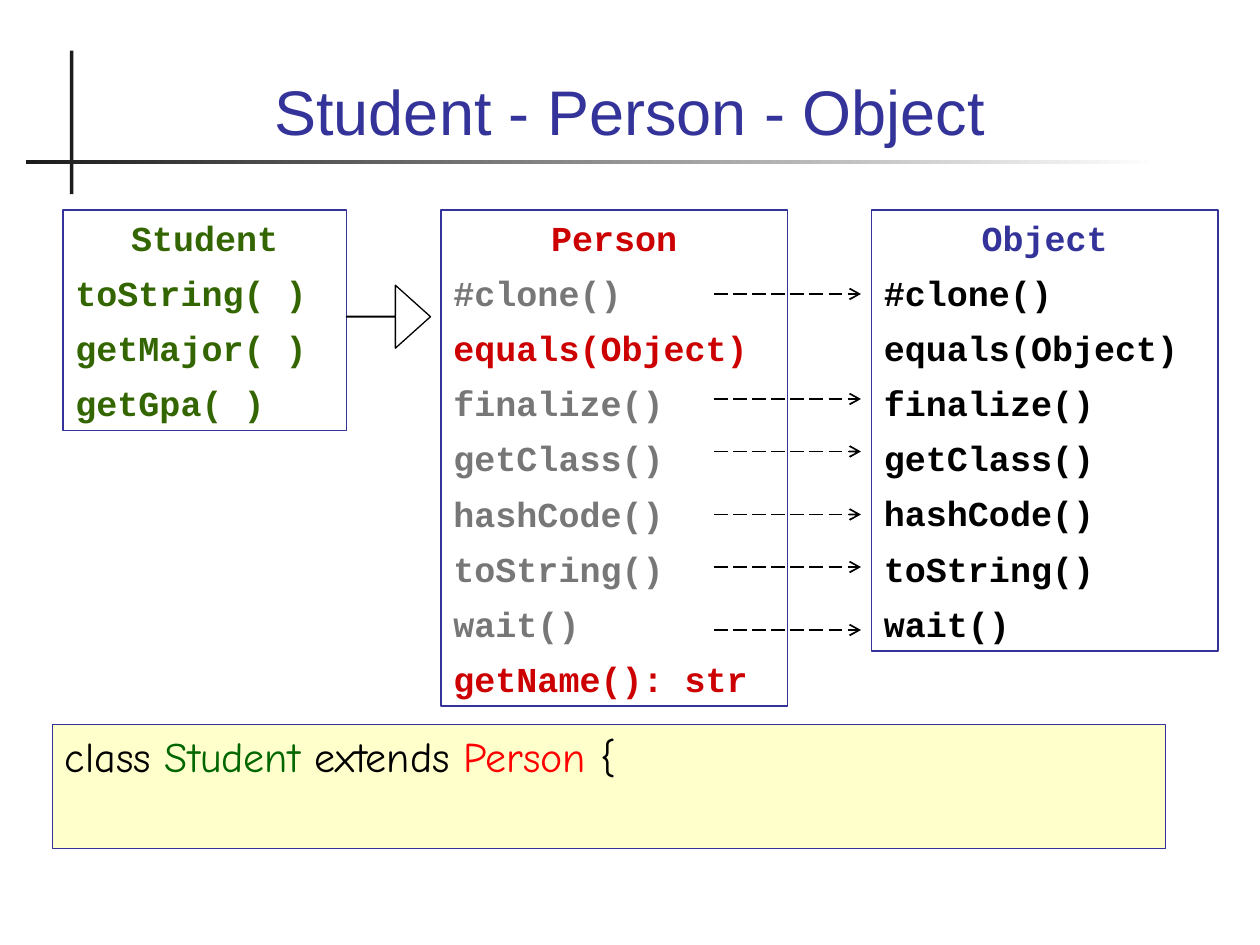
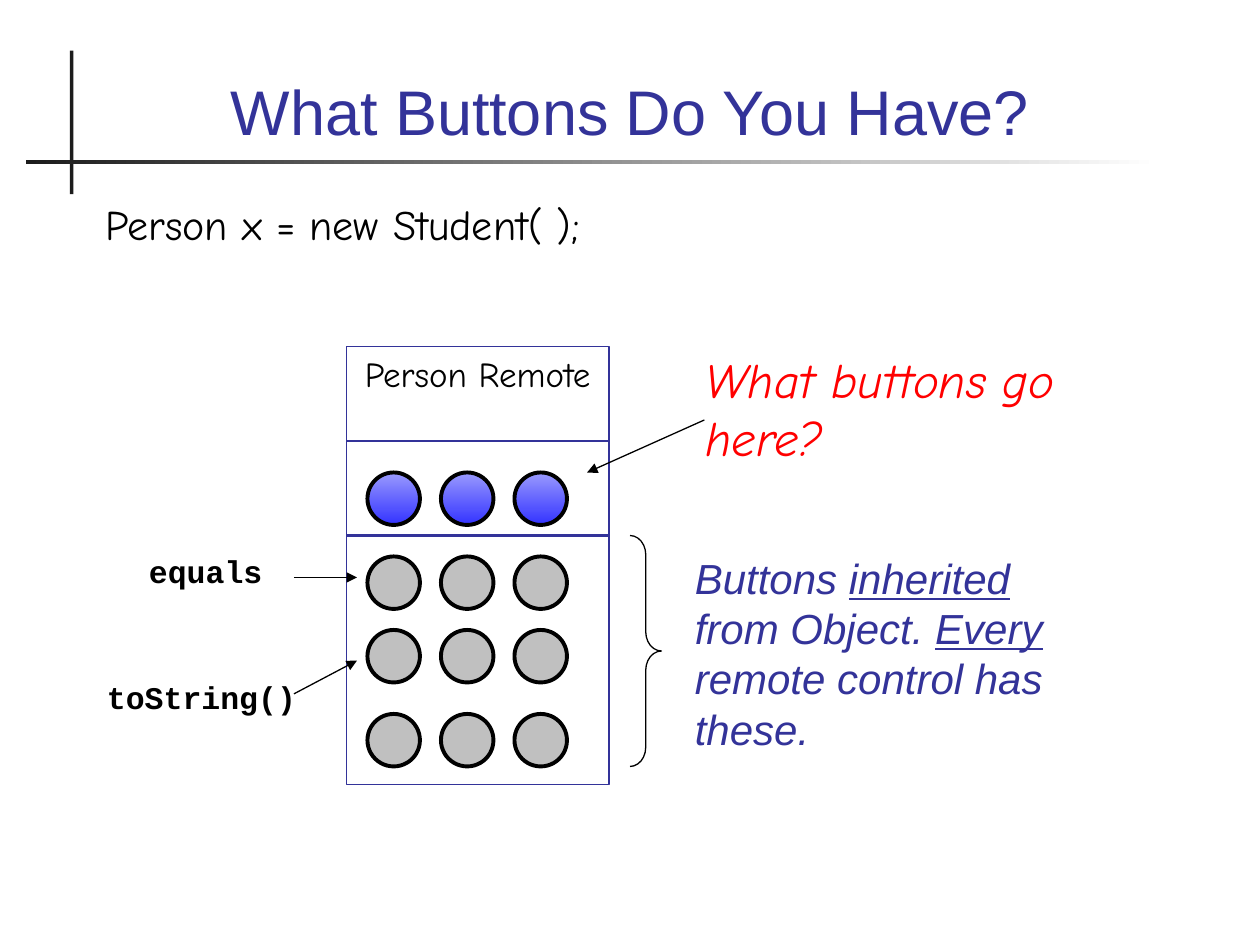
from dataclasses import dataclass

from lxml.etree import SubElement
from pptx import Presentation
from pptx.dml.color import RGBColor
from pptx.enum.dml import MSO_LINE
from pptx.enum.shapes import MSO_CONNECTOR, MSO_SHAPE
from pptx.enum.text import MSO_ANCHOR, MSO_AUTO_SIZE, PP_ALIGN
from pptx.oxml.ns import qn
from pptx.util import Pt


@dataclass(frozen=True)
class Theme:
    navy: str = "333399"
    black: str = "000000"
    white: str = "FFFFFF"
    rule: str = "1C1C1C"
    inherited: str = "777777"
    person: str = "CC0000"
    student: str = "336600"
    student_code: str = "006600"
    red: str = "FF0000"
    code_fill: str = "FFFFCC"
    button_gray: str = "C0C0C0"
    button_light: str = "9999FE"
    button_dark: str = "3333FF"
    sans: str = "Arial"
    comic: str = "Comic Neue"
    mono: str = "Courier New"
    title_size: int = 36
    question_size: int = 28
    body_size: int = 24
    class_size: int = 20
    label_size: int = 18


theme = Theme()


def add_block(slide, area, paragraphs, font, size, fill=None, outline=None,
              bold=False, italic=False, line_height=None, space_before=0):
    area = [Pt(length) for length in area]
    if outline:
        shape = slide.shapes.add_shape(MSO_SHAPE.RECTANGLE, *area)
        shape.shadow.inherit = False
        shape.line.color.rgb = RGBColor.from_string(theme.navy)
        shape.line.width = Pt(outline)
        shape.fill.background()
    else:
        shape = slide.shapes.add_textbox(*area)
    if fill:
        shape.fill.solid()
        shape.fill.fore_color.rgb = RGBColor.from_string(fill)
    frame = shape.text_frame
    frame.word_wrap = True
    frame.auto_size = MSO_AUTO_SIZE.NONE
    frame.vertical_anchor = MSO_ANCHOR.TOP
    for index, (alignment, runs) in enumerate(paragraphs):
        paragraph = frame.add_paragraph() if index else frame.paragraphs[0]
        paragraph.alignment = alignment
        paragraph.space_before = Pt(space_before if index else 0)
        if line_height:
            paragraph.line_spacing = Pt(line_height)
        for text, color, underline in runs:
            run = paragraph.add_run()
            run.text = text
            run.font.name = font
            run.font.size = Pt(size)
            run.font.bold = bold
            run.font.italic = italic
            run.font.underline = underline
            run.font.color.rgb = RGBColor.from_string(color)


def add_line(slide, start, end, color=theme.black, width=0.75, head=None, dash=None):
    points = [Pt(length) for length in (*start, *end)]
    connector = slide.shapes.add_connector(MSO_CONNECTOR.STRAIGHT, *points)
    connector.line.color.rgb = RGBColor.from_string(color)
    connector.line.width = Pt(width)
    if dash:
        connector.line.dash_style = dash
    properties = connector.element.spPr
    if head:
        SubElement(properties.find(qn("a:ln")), qn("a:tailEnd"), type=head)
    SubElement(properties, qn("a:effectLst"))


presentation = Presentation()
presentation.slide_width = Pt(720)
presentation.slide_height = Pt(540)
title_layout = presentation.slide_layouts[5]

slides = []
for title_text in ("Student - Person - Object", "What Buttons Do You Have?"):
    slide = presentation.slides.add_slide(title_layout)
    title = slide.shapes.title
    title.left, title.top, title.width, title.height = Pt(48), Pt(20), Pt(624), Pt(68.5)
    title.text_frame.auto_size = MSO_AUTO_SIZE.NONE
    title.text_frame.vertical_anchor = MSO_ANCHOR.BOTTOM
    paragraph = title.text_frame.paragraphs[0]
    paragraph.alignment = PP_ALIGN.CENTER
    run = paragraph.add_run()
    run.text = title_text
    run.font.name = theme.sans
    run.font.size = Pt(theme.title_size)
    run.font.color.rgb = RGBColor.from_string(theme.navy)
    slides.append(slide)
class_slide, remote_slide = slides

for area, fades in (((40, 29, 2, 82), False), ((15, 91.5, 647, 2), True)):
    band = class_slide.shapes.add_shape(
        MSO_SHAPE.RECTANGLE, *[Pt(length) for length in area])
    band.shadow.inherit = False
    band.line.fill.background()
    if fades:
        band.fill.gradient()
        band.fill.gradient_angle = 180
        for stop, color in zip(band.fill.gradient_stops, (theme.white, theme.rule)):
            stop.color.rgb = RGBColor.from_string(color)
    else:
        band.fill.solid()
        band.fill.fore_color.rgb = RGBColor.from_string(theme.rule)
    title_layout.shapes.element.append(band.element)

object_methods = ["#clone()", "equals(Object)", "finalize()", "getClass()",
                  "hashCode()", "toString()", "wait()"]
person_methods = [
    (method, theme.person if method == "equals(Object)" else theme.inherited)
    for method in object_methods
] + [("getName(): str", theme.person)]
student_methods = ["toString( )", "getMajor( )", "getGpa( )"]
classes = [
    (498, 198, "Object", theme.navy, [(method, theme.black) for method in object_methods]),
    (252, 198, "Person", theme.person, person_methods),
    (36, 162, "Student", theme.student,
     [(method, theme.student) for method in student_methods]),
]
line_height, method_gap = 24, 7.5
for left, width, name, name_color, methods in classes:
    paragraphs = [(PP_ALIGN.CENTER, [(name, name_color, False)])]
    for method, color in methods:
        paragraphs.append((PP_ALIGN.LEFT, [(method, color, False)]))
    height = len(paragraphs) * (line_height + method_gap)
    add_block(class_slide, (left, 120, width, height), paragraphs, theme.mono,
              theme.class_size, fill=theme.white, outline=1, bold=True,
              line_height=line_height, space_before=method_gap)

declaration = [("class ", theme.black, False), ("Student", theme.student_code, False),
               (" extends ", theme.black, False), ("Person", theme.red, False),
               (" {", theme.black, False)]
add_block(class_slide, (30, 414, 636, 71), [(PP_ALIGN.LEFT, declaration)],
          theme.comic, theme.body_size, fill=theme.code_fill, outline=0.75)

for y in (168, 228, 258, 294, 324, 360):
    add_line(class_slide, (408, y), (492, y), width=1, head="arrow",
             dash=MSO_LINE.LONG_DASH)

extends_arrow = class_slide.shapes.add_shape(
    MSO_SHAPE.UP_ARROW, Pt(204), Pt(157), Pt(36), Pt(48))
extends_arrow.rotation = 90
extends_arrow.adjustments[0] = 0.012
extends_arrow.adjustments[1] = 0.558
inherited_brace = remote_slide.shapes.add_shape(
    MSO_SHAPE.RIGHT_BRACE, Pt(360), Pt(306), Pt(18), Pt(132))
inherited_brace.adjustments[0] = 0.61
for shape in (extends_arrow, inherited_brace):
    shape.shadow.inherit = False
    shape.fill.background()
    shape.line.color.rgb = RGBColor.from_string(theme.black)
    shape.line.width = Pt(0.75)

add_block(remote_slide, (53.5, 110, 623.5, 64),
          [(PP_ALIGN.LEFT, [("Person x = new Student( );", theme.black, False)])],
          theme.comic, theme.body_size)
add_block(remote_slide, (198, 198, 150, 250.5),
          [(PP_ALIGN.CENTER, [("Person Remote", theme.black, False)])],
          theme.comic, theme.class_size, outline=0.75)
for y in (252, 306):
    add_line(remote_slide, (198, y), (348, y), theme.navy, 1.5)

for row, top in enumerate((270, 318, 360, 408)):
    for column in range(3):
        button = remote_slide.shapes.add_shape(
            MSO_SHAPE.OVAL, Pt(210 + 42 * column), Pt(top), Pt(30), Pt(30))
        button.shadow.inherit = False
        button.line.color.rgb = RGBColor.from_string(theme.black)
        button.line.width = Pt(2.25)
        if row == 0:
            button.fill.gradient()
            button.fill.gradient_angle = 270
            colors = (theme.button_light, theme.button_dark)
            for stop, color in zip(button.fill.gradient_stops, colors):
                stop.color.rgb = RGBColor.from_string(color)
        else:
            button.fill.solid()
            button.fill.fore_color.rgb = RGBColor.from_string(theme.button_gray)

add_block(remote_slide, (396, 196, 240, 75),
          [(PP_ALIGN.LEFT, [("What buttons go here?", theme.red, False)])],
          theme.comic, theme.question_size, italic=True)
explanation = [("Buttons ", theme.navy, False), ("inherited", theme.navy, True),
               (" from Object. ", theme.navy, False), ("Every", theme.navy, True),
               (" remote control has these.", theme.navy, False)]
add_block(remote_slide, (390, 312, 216, 122), [(PP_ALIGN.LEFT, explanation)],
          theme.sans, theme.body_size, italic=True)
for label, area in (("equals", (78, 312, 84, 29)), ("toString()", (54, 384, 126, 29))):
    add_block(remote_slide, area, [(PP_ALIGN.LEFT, [(label, theme.black, False)])],
              theme.mono, theme.label_size, bold=True)
for start, end in (((402.5, 240), (335.5, 270)), ((168, 330), (204, 330)),
                   ((168, 396.5), (204, 377.5))):
    add_line(remote_slide, start, end, head="triangle")

presentation.save("out.pptx")
